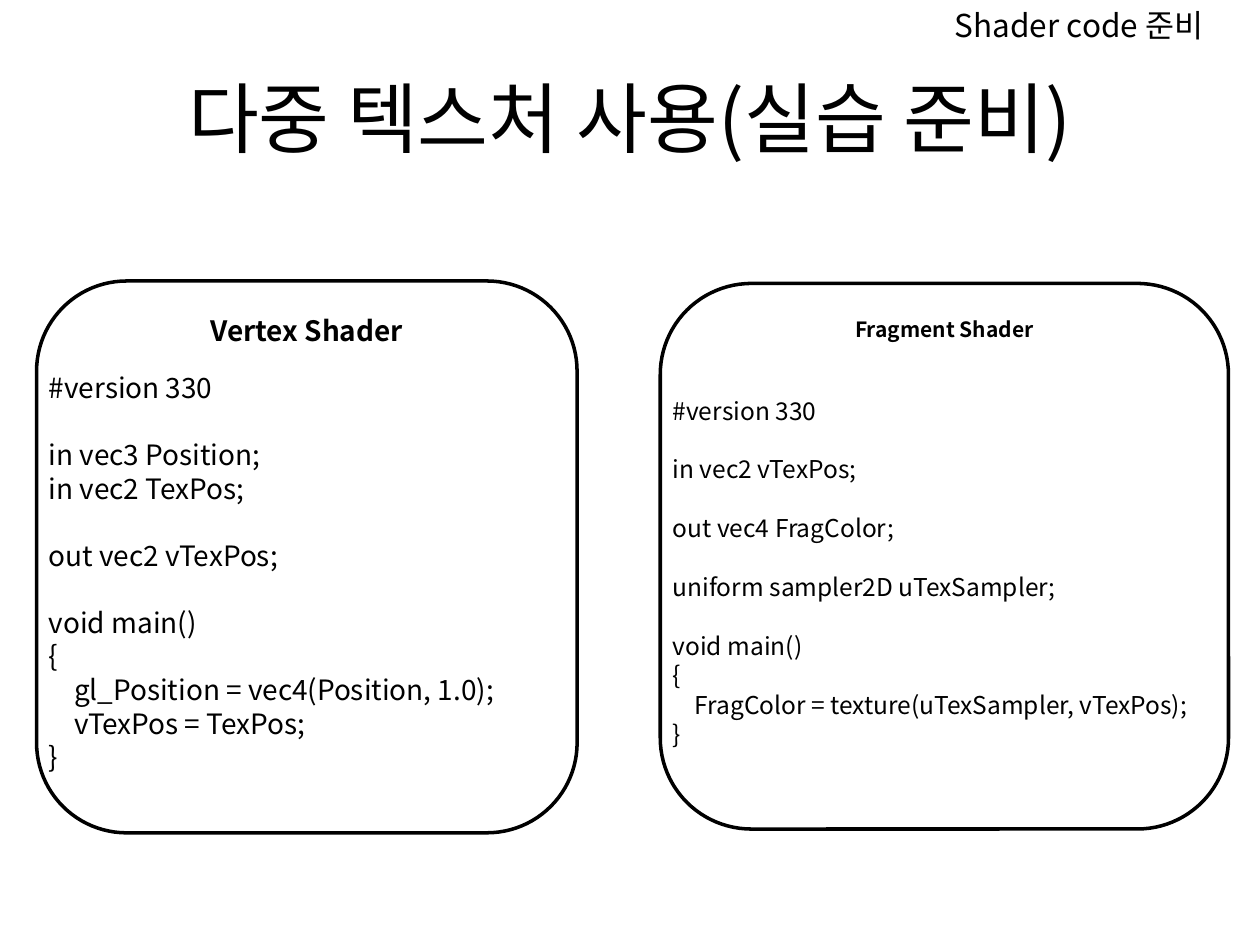
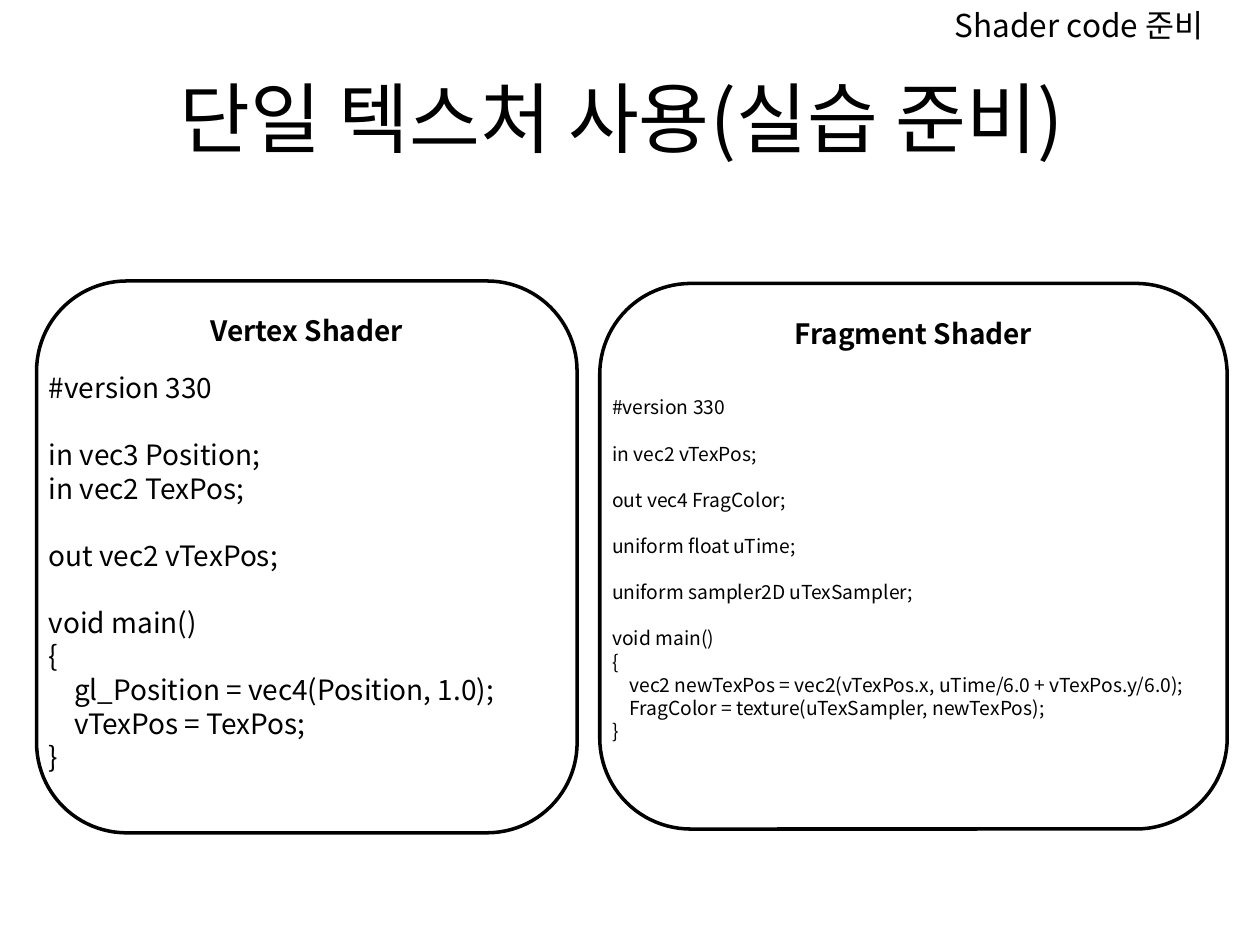
"""Build two slides that list the vertex and fragment shaders of a texture exercise."""

from dataclasses import dataclass

from lxml.etree import SubElement
from pptx import Presentation
from pptx.dml.color import RGBColor
from pptx.enum.shapes import MSO_SHAPE as Shape
from pptx.enum.text import MSO_ANCHOR as Anchor, MSO_AUTO_SIZE as AutoSize, PP_ALIGN as Align
from pptx.oxml.ns import qn
from pptx.util import Inches, Pt

BLACK = RGBColor(0x00, 0x00, 0x00)
WHITE = RGBColor(0xFF, 0xFF, 0xFF)
FONT = "Noto Sans CJK KR"
LINE_HEIGHT = 1.2
INDENT_RATIO = 0.9
TITLE_ONLY_LAYOUT = 5

VERTEX_CODE = """\
#version 330

in vec3 Position;
in vec2 TexPos;

out vec2 vTexPos;

void main()
{
    gl_Position = vec4(Position, 1.0);
    vTexPos = TexPos;
}"""

STATIC_FRAGMENT_CODE = """\
#version 330

in vec2 vTexPos;

out vec4 FragColor;

uniform sampler2D uTexSampler;

void main()
{
    FragColor = texture(uTexSampler, vTexPos);
}"""

MOVING_FRAGMENT_CODE = """\
#version 330

in vec2 vTexPos;

out vec4 FragColor;

uniform float uTime;

uniform sampler2D uTexSampler;

void main()
{
    vec2 newTexPos = vec2(vTexPos.x, uTime/6.0 + vTexPos.y/6.0);
    FragColor = texture(uTexSampler, newTexPos);
}"""


@dataclass(frozen=True)
class ShaderPanel:
    """A rounded frame with a heading and code; lengths in inches, sizes in points."""

    heading: str
    heading_size: int
    code: str
    code_size: int
    left: float
    top: float
    width: float
    height: float
    code_top: float
    code_height: float


@dataclass(frozen=True)
class ShaderSlide:
    """A slide title and its shader panels."""

    title: str
    panels: tuple[ShaderPanel, ...]


VERTEX_PANEL = ShaderPanel(
    "Vertex Shader", 16, VERTEX_CODE, 16, 0.29, 2.23, 4.29, 4.38, 2.89, 3.33
)
SLIDES = (
    ShaderSlide(
        "다중 텍스처 사용(실습 준비)",
        (
            ShaderPanel("Fragment Shader", 12, STATIC_FRAGMENT_CODE, 14,
                        5.24, 2.25, 4.51, 4.33, 3.09, 2.93),
            VERTEX_PANEL,
        ),
    ),
    ShaderSlide(
        "단일 텍스처 사용(실습 준비) ",
        (
            ShaderPanel("Fragment Shader", 16, MOVING_FRAGMENT_CODE, 11,
                        4.76, 2.25, 4.98, 4.33, 3.09, 2.88),
            VERTEX_PANEL,
        ),
    ),
)


def write_paragraph(paragraph, text: str, size: int, align=Align.LEFT, bold: bool = False) -> None:
    """Fill a paragraph with one run in the shared font."""
    run = paragraph.add_run()
    run.text = text
    paragraph.alignment = align
    paragraph.line_spacing = Pt(size * LINE_HEIGHT)
    font = run.font
    font.name = FONT
    font.size = Pt(size)
    font.bold = bold
    font.color.rgb = BLACK
    SubElement(run._r.get_or_add_rPr(), qn("a:ea"), typeface=FONT)


def add_text_frame(slide, left: float, top: float, width: float, height: float):
    """Add a wrapping text box that grows with its text and return its frame."""
    box = slide.shapes.add_textbox(Inches(left), Inches(top), Inches(width), Inches(height))
    frame = box.text_frame
    frame.word_wrap = True
    frame.auto_size = AutoSize.SHAPE_TO_FIT_TEXT
    return frame


def add_code(slide, panel: ShaderPanel) -> None:
    """Write the code, with one line of space between its blocks."""
    frame = add_text_frame(slide, panel.left, panel.code_top, panel.width, panel.code_height)
    paragraph = frame.paragraphs[0]
    for block_index, block in enumerate(panel.code.split("\n\n")):
        for line_index, line in enumerate(block.splitlines()):
            if block_index or line_index:
                paragraph = frame.add_paragraph()
            write_paragraph(paragraph, line.strip(), panel.code_size)
            if block_index and line_index == 0:
                paragraph.space_before = Pt(panel.code_size * LINE_HEIGHT)
            if line.startswith(" "):
                indent = Pt(panel.code_size * INDENT_RATIO)
                paragraph._p.get_or_add_pPr().set("marL", str(indent))


def add_panel(slide, panel: ShaderPanel) -> None:
    """Draw a rounded frame with its heading, then its code."""
    shape = slide.shapes.add_shape(
        Shape.ROUNDED_RECTANGLE,
        Inches(panel.left), Inches(panel.top), Inches(panel.width), Inches(panel.height),
    )
    shape.shadow.inherit = False
    shape.fill.solid()
    shape.fill.fore_color.rgb = WHITE
    shape.line.color.rgb = BLACK
    shape.line.width = Pt(2)
    frame = shape.text_frame
    frame.vertical_anchor = Anchor.TOP
    write_paragraph(frame.paragraphs[0], panel.heading, panel.heading_size, Align.CENTER, True)
    add_code(slide, panel)


def add_title(slide, text: str) -> None:
    """Place and fill the title placeholder."""
    title = slide.shapes.title
    title.left, title.top = Inches(0.5), Inches(0.3)
    title.width, title.height = Inches(9), Inches(1.25)
    title.text_frame.vertical_anchor = Anchor.MIDDLE
    write_paragraph(title.text_frame.paragraphs[0], text, 44, Align.CENTER)


def add_section_label(slide) -> None:
    """Write the section label in the top right corner."""
    frame = add_text_frame(slide, 7.48, 0, 2.52, 0.4)
    write_paragraph(frame.paragraphs[0], "Shader code 준비", 18)


def main() -> None:
    """Build and save the presentation."""
    presentation = Presentation()
    presentation.slide_width, presentation.slide_height = Inches(10), Inches(7.5)
    for content in SLIDES:
        slide = presentation.slides.add_slide(presentation.slide_layouts[TITLE_ONLY_LAYOUT])
        add_title(slide, content.title)
        for panel in content.panels:
            add_panel(slide, panel)
        add_section_label(slide)
    presentation.save("out.pptx")


if __name__ == "__main__":
    main()
